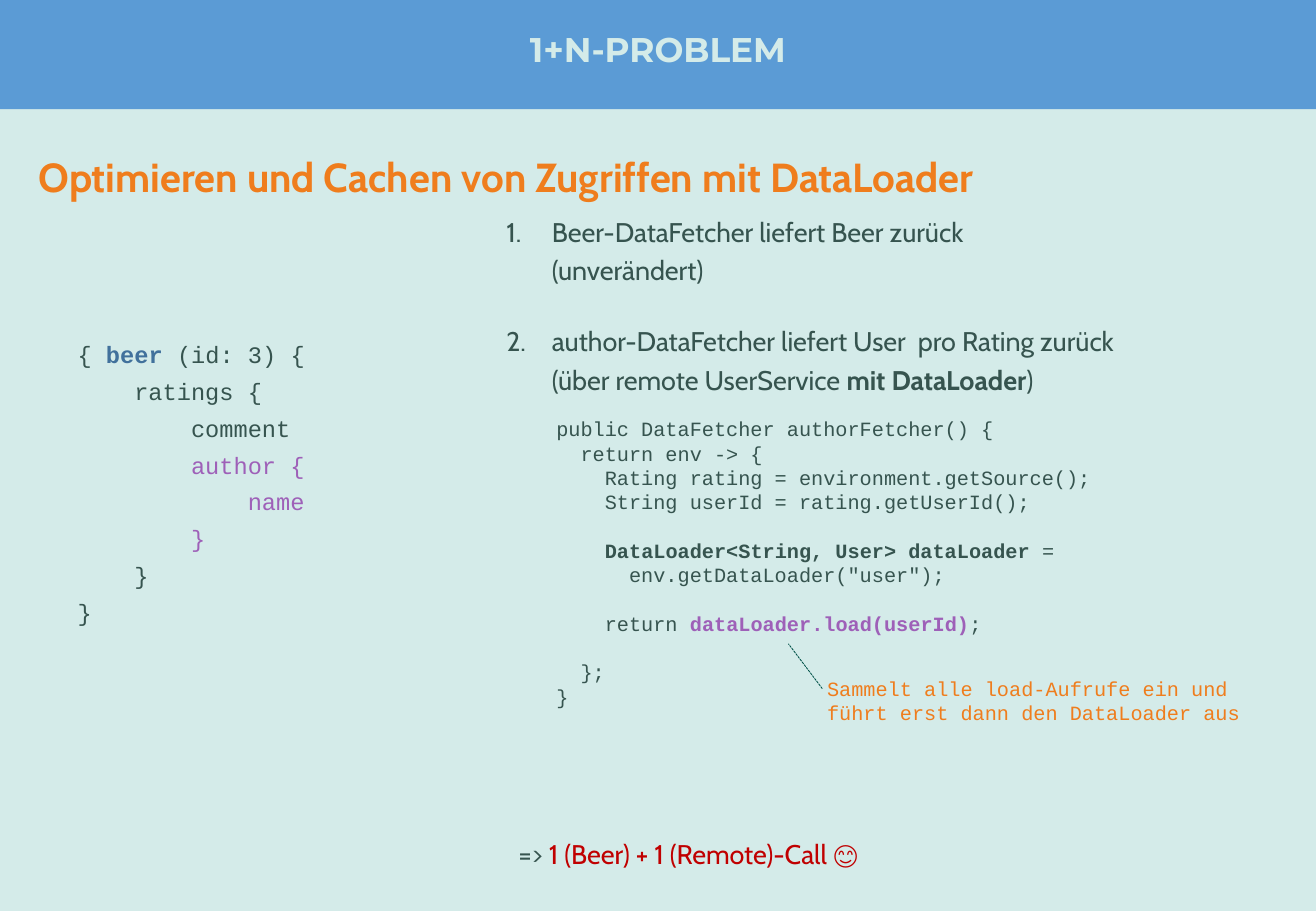
from copy import deepcopy
from dataclasses import dataclass

from lxml import etree
from pptx import Presentation
from pptx.dml.color import RGBColor
from pptx.enum.dml import MSO_LINE
from pptx.enum.shapes import MSO_CONNECTOR, MSO_SHAPE
from pptx.enum.text import MSO_ANCHOR, MSO_AUTO_SIZE, PP_ALIGN
from pptx.oxml.ns import qn
from pptx.util import Pt

RECTANGLE = MSO_SHAPE.RECTANGLE
STRAIGHT = MSO_CONNECTOR.STRAIGHT
SYSTEM_DASH = MSO_LINE.SQUARE_DOT
MIDDLE = MSO_ANCHOR.MIDDLE
CENTER = PP_ALIGN.CENTER
NO_AUTOFIT = MSO_AUTO_SIZE.NONE


@dataclass(frozen=True)
class Theme:
    background: RGBColor = RGBColor.from_string("D4EBE9")
    band: RGBColor = RGBColor.from_string("5B9BD5")
    text: RGBColor = RGBColor.from_string("36544F")
    accent: RGBColor = RGBColor.from_string("EF7D1D")
    keyword: RGBColor = RGBColor.from_string("41719C")
    highlight: RGBColor = RGBColor.from_string("9E60B8")
    result: RGBColor = RGBColor.from_string("C00000")
    pointer: RGBColor = RGBColor.from_string("025249")
    title_font: str = "Montserrat"
    body_font: str = "Cabin"
    code_font: str = "Courier New"
    title_size: float = 20.3
    heading_size: float = 24
    body_size: float = 16
    query_size: float = 14
    code_size: float = 12


theme = Theme()


def add_runs(paragraph, runs, font_name, size):
    for text, color, bold in runs:
        for index, line in enumerate(text.split("\n")):
            if index:
                paragraph.add_line_break()
                paragraph._p[-1].append(deepcopy(run._r.rPr))
            run = paragraph.add_run()
            run.text = line
            run.font.name = font_name
            run.font.size = Pt(size)
            run.font.bold = bold
            run.font.color.rgb = color


def add_text(left, top, width, height, lines, font_name, size, spacing=1.0):
    shape = slide.shapes.add_textbox(Pt(left), Pt(top), Pt(width), Pt(height))
    frame = shape.text_frame
    frame.word_wrap = True
    for index, runs in enumerate(lines):
        paragraph = frame.add_paragraph() if index else frame.paragraphs[0]
        paragraph.line_spacing = spacing
        add_runs(paragraph, runs, font_name, size)
    return frame


presentation = Presentation()
presentation.slide_width = Pt(780)
presentation.slide_height = Pt(540)
slide = presentation.slides.add_slide(presentation.slide_layouts[5])
slide.background.fill.solid()
slide.background.fill.fore_color.rgb = theme.background

band = slide.shapes.add_shape(RECTANGLE, 0, 0, Pt(780), Pt(64.8))
band.shadow.inherit = False
band.fill.solid()
band.fill.fore_color.rgb = theme.band
band.line.fill.background()

title = slide.shapes.title
title._element.addprevious(band._element)
title.left, title.top, title.width, title.height = 0, 0, Pt(780), Pt(61.2)
title_frame = title.text_frame
title_frame.auto_size = NO_AUTOFIT
title_frame.vertical_anchor = MIDDLE
title_frame.margin_left = title_frame.margin_right = 0
title_frame.margin_top = title_frame.margin_bottom = 0
title_paragraph = title_frame.paragraphs[0]
title_paragraph.alignment = CENTER
title_paragraph.line_spacing = 0.9
add_runs(title_paragraph, [("1+N-PROBLEM", theme.background, True)],
         theme.title_font, theme.title_size)

add_text(15.8, 80.6, 750, 39.6,
         [[("Optimieren und Cachen von Zugriffen mit DataLoader", theme.accent, True)]],
         theme.body_font, theme.heading_size, 1.2)

query_lines = [
    [("{ ", theme.text, False), ("beer", theme.keyword, True), (" (id: 3) {", theme.text, False)],
    [("    ratings {", theme.text, False)],
    [("        comment", theme.text, False)],
    [("        author {", theme.highlight, False)],
    [("            name", theme.highlight, False)],
    [("        }", theme.highlight, False)],
    [("    }", theme.text, False)],
    [("}", theme.text, False)],
]
add_text(38.9, 193, 186.5, 182.2, query_lines, theme.code_font, theme.query_size, 1.3)

steps = [
    [("Beer-DataFetcher liefert Beer zurück\n(unverändert)", theme.text, False)],
    [("author-DataFetcher liefert User  pro Rating zurück\n(über remote UserService ",
      theme.text, False),
     ("mit DataLoader", theme.text, True), (")", theme.text, False)],
]
for number, runs in enumerate(steps, start=1):
    step = add_text(293, 120.2 + 64.8 * (number - 1), 390.2, 51.8, [runs],
                    theme.body_font, theme.body_size, 1.2)
    properties = step.paragraphs[0]._p.get_or_add_pPr()
    properties.set("marL", str(Pt(27)))
    properties.set("indent", str(-Pt(27)))
    etree.SubElement(properties, qn("a:buFont"), typeface="+mj-lt")
    etree.SubElement(properties, qn("a:buAutoNum"), type="arabicPeriod", startAt=str(number))

code_lines = [
    [("public DataFetcher authorFetcher() {", theme.text, False)],
    [("  return env -> {", theme.text, False)],
    [("    Rating rating = environment.getSource();", theme.text, False)],
    [("    String userId = rating.getUserId();", theme.text, False)],
    [("    ", theme.text, False), ("DataLoader<String, User> dataLoader", theme.text, True),
     (" =", theme.text, False)],
    [("      env.getDataLoader(\"user\");", theme.text, False)],
    [("    return ", theme.text, False), ("dataLoader.load(userId)", theme.highlight, True),
     (";", theme.text, False)],
    [("  };", theme.text, False)],
    [("}", theme.text, False)],
]
code = add_text(322.6, 243.4, 445, 181.4, code_lines, theme.code_font, theme.code_size)
for block_start in (4, 6, 7):
    code.paragraphs[block_start].space_before = Pt(14.4)

add_text(300.2, 488.9, 390.2, 29.5,
         [[("=> ", theme.text, False), ("1 (Beer) + 1 (Remote)-Call 😊", theme.result, False)]],
         theme.body_font, theme.body_size, 1.2)

add_text(483.1, 397.4, 282.2, 36,
         [[("Sammelt alle load-Aufrufe ein und führt erst dann den DataLoader aus",
            theme.accent, False)]],
         theme.code_font, theme.code_size)

pointer = slide.shapes.add_connector(STRAIGHT, Pt(487.4), Pt(408.2), Pt(467.3), Pt(381.6))
pointer.line.color.rgb = theme.pointer
pointer.line.width = Pt(0.5)
pointer.line.dash_style = SYSTEM_DASH
etree.SubElement(pointer._element.spPr, qn("a:effectLst"))

presentation.save("out.pptx")
